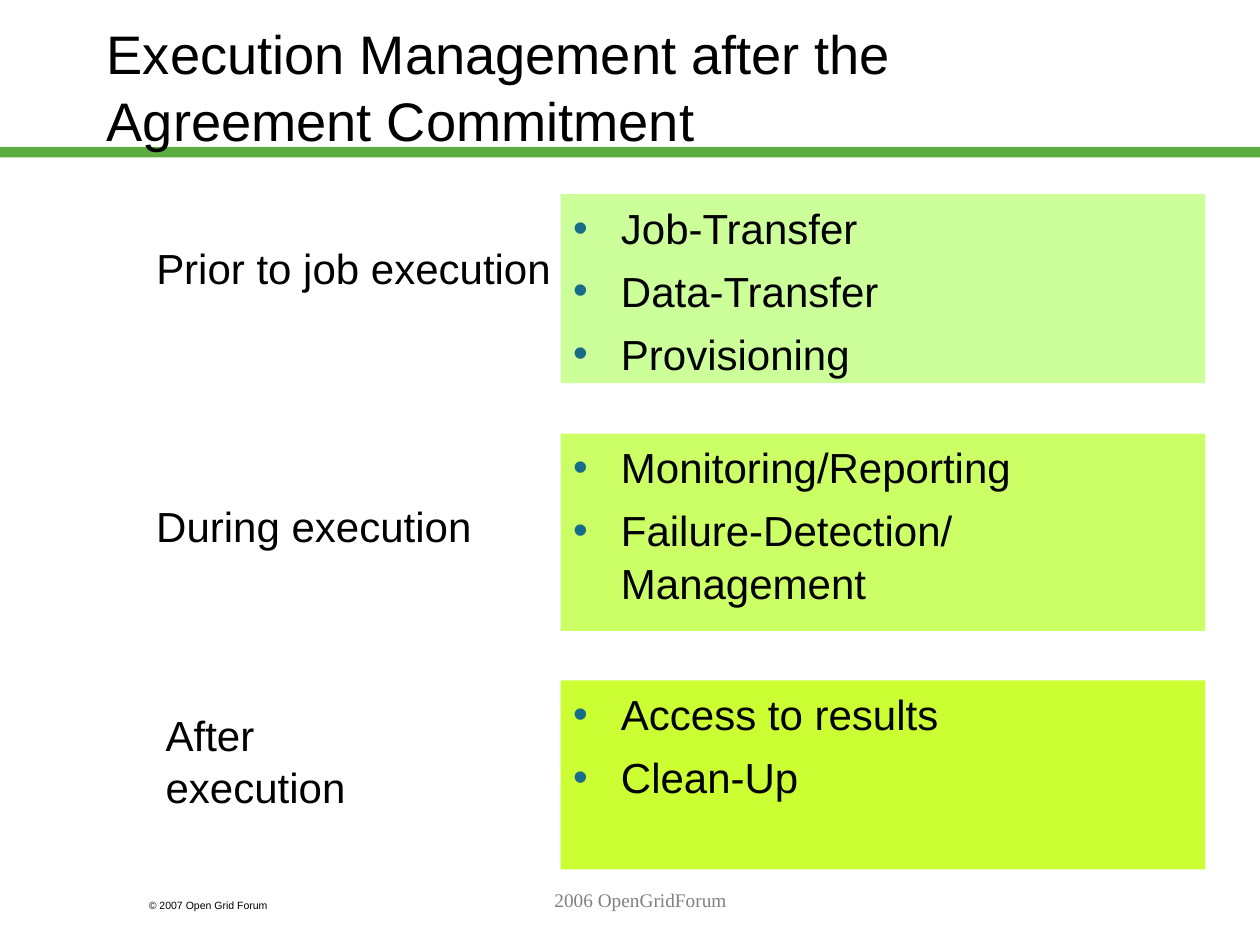
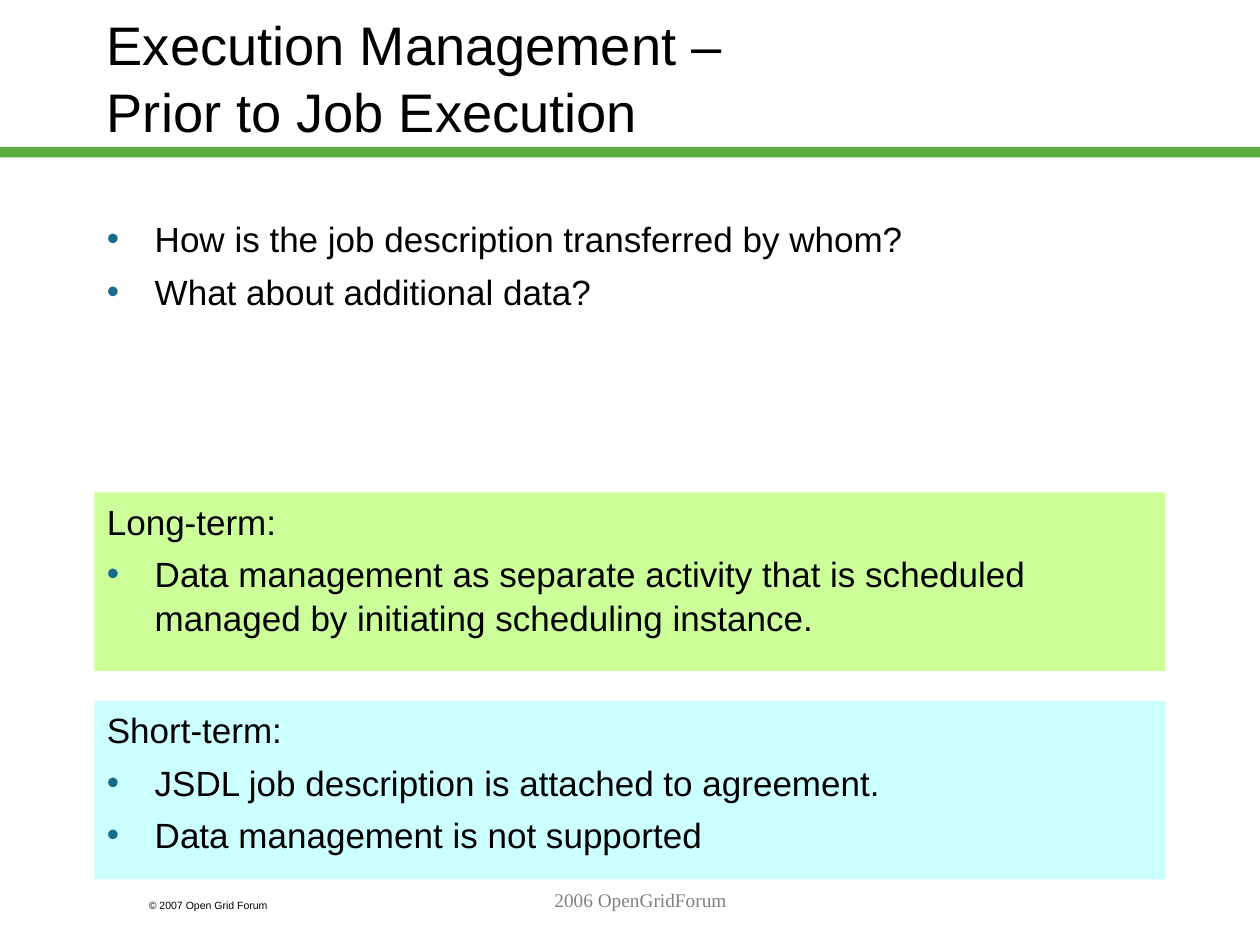
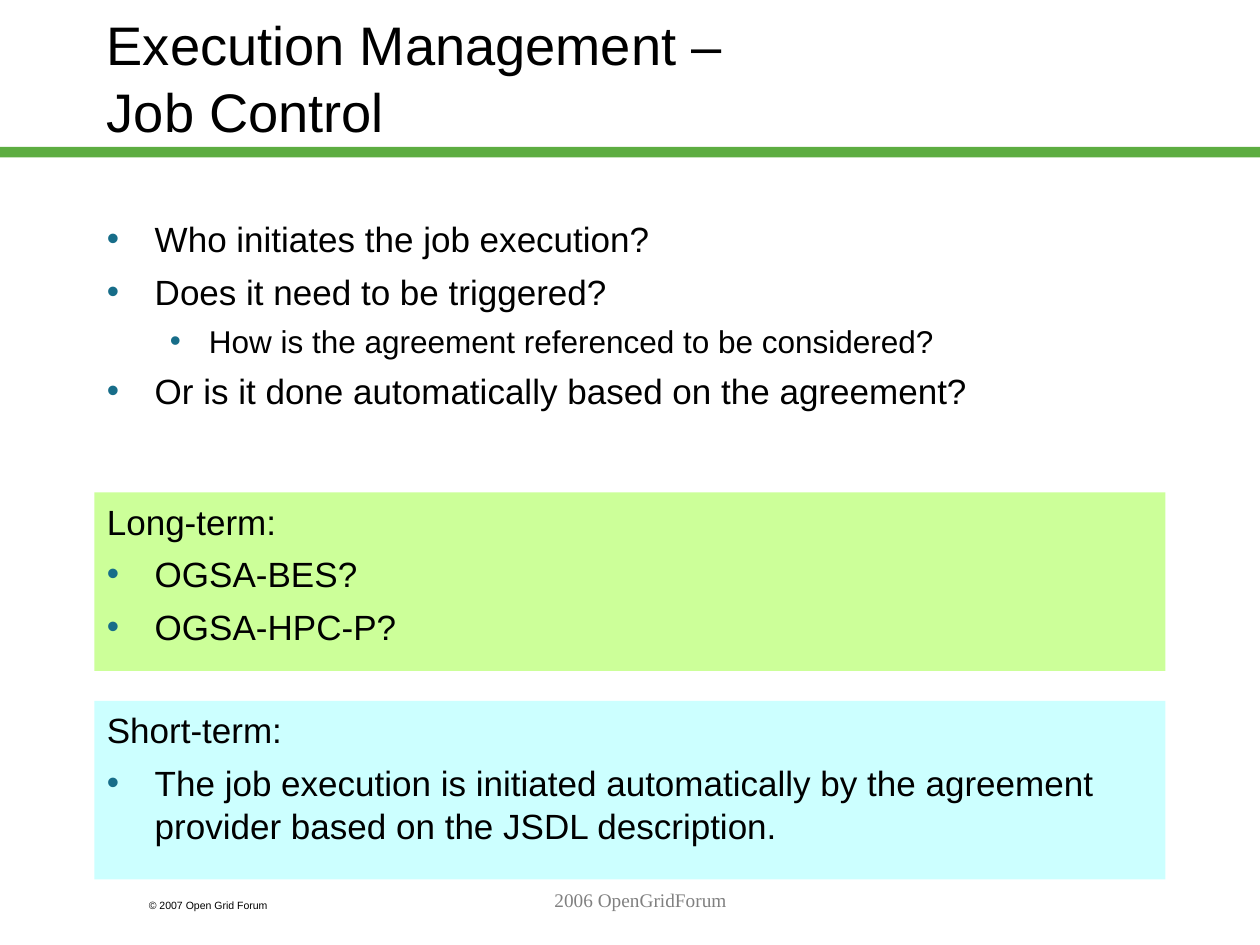
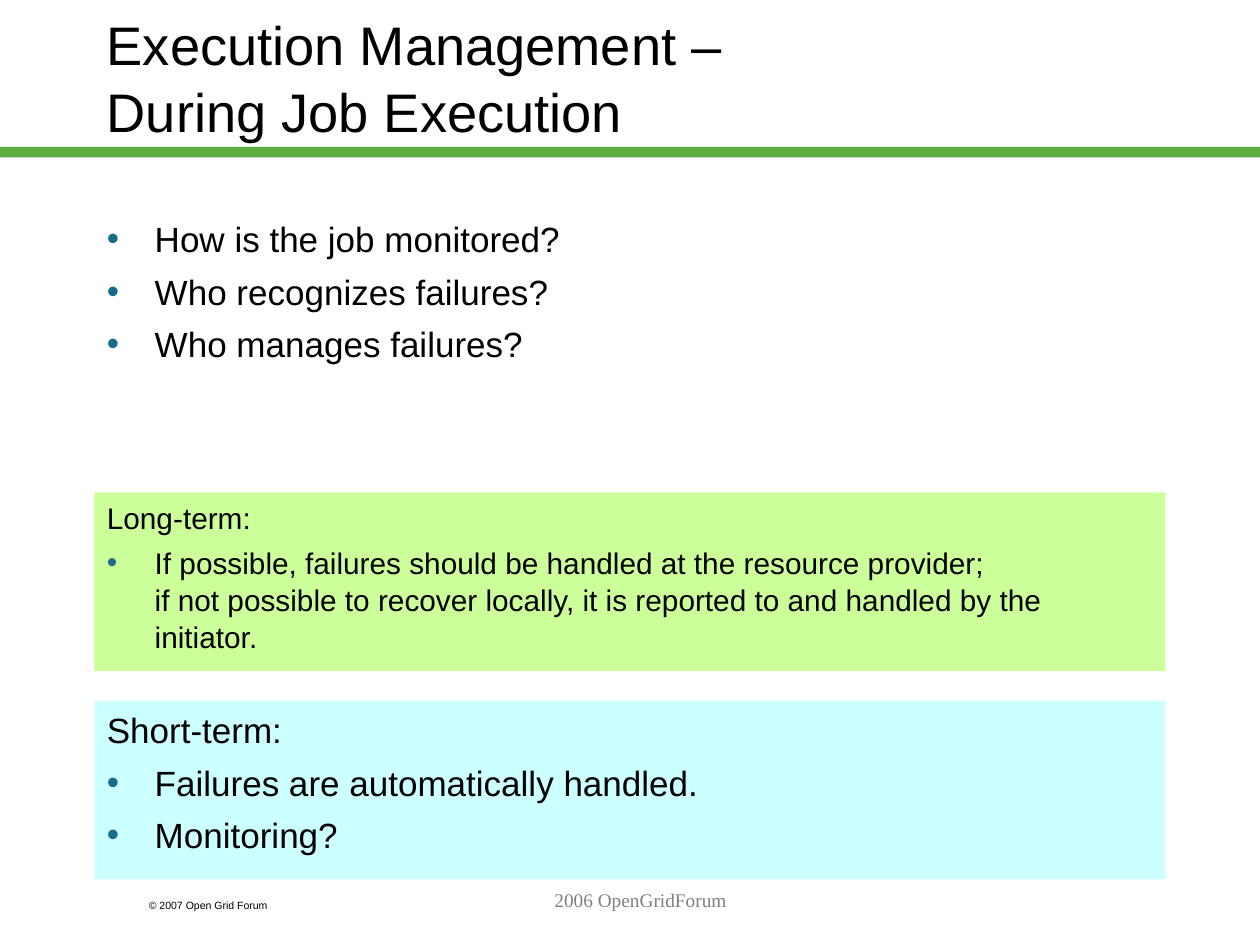
from dataclasses import dataclass
from typing import Optional

import pptx
import pptx.dml.color
import pptx.enum.shapes
import pptx.enum.text
import pptx.oxml
import pptx.oxml.ns
import pptx.util

RGBColor = pptx.dml.color.RGBColor
ALIGN = pptx.enum.text.PP_ALIGN
ANCHOR = pptx.enum.text.MSO_ANCHOR

# Shared look
BLACK = RGBColor(0x00, 0x00, 0x00)
GRAY = RGBColor(0x80, 0x80, 0x80)
BAND_GREEN = RGBColor(0x5D, 0xAD, 0x41)
BULLET_BLUE = RGBColor(0x17, 0x6D, 0x89)
PALE_GREEN = RGBColor(0xCC, 0xFF, 0x99)
LIME = RGBColor(0xCC, 0xFF, 0x66)
BRIGHT_LIME = RGBColor(0xCC, 0xFF, 0x33)
PALE_CYAN = RGBColor(0xCC, 0xFF, 0xFF)
SANS = "Arial"
SERIF = "Times New Roman"
LINE_SPACING = 1.04

# Grid of 120 columns by 90 rows
SLIDE_WIDTH = pptx.util.Inches(10)
SLIDE_HEIGHT = pptx.util.Inches(7.5)
COLUMN = SLIDE_WIDTH / 120
ROW = SLIDE_HEIGHT / 90


@dataclass(frozen=True)
class Area:
    """A place on the grid, in columns and rows."""
    left: float
    top: float
    width: float
    height: float

    def emu(self) -> tuple[int, int, int, int]:
        return (round(self.left * COLUMN), round(self.top * ROW),
                round(self.width * COLUMN), round(self.height * ROW))


@dataclass(frozen=True)
class Style:
    size: float
    font: str = SANS
    color: RGBColor = BLACK
    align: ALIGN = ALIGN.LEFT
    line_spacing: Optional[float] = LINE_SPACING


@dataclass(frozen=True)
class Item:
    """A line of a list: level 0 is a heading, 1 and 2 carry bullets."""
    text: str
    level: int = 1


@dataclass(frozen=True)
class Stage:
    label: str
    label_area: Area
    area: Area
    fill: RGBColor
    steps: tuple[Item, ...]


@dataclass(frozen=True)
class Topic:
    title: str
    questions: tuple[Item, ...]
    long_term: tuple[Item, ...]
    short_term: tuple[Item, ...]
    long_term_size: float = 20


TITLE = Style(31)
COPYRIGHT = Style(6)
FOOTER = Style(11, SERIF, GRAY, ALIGN.CENTER, None)
LABEL = Style(24)
INDENTS = {0: (0.38, -0.38), 1: (0.38, -0.38), 2: (0.81, -0.31)}  # inches
SUBITEM_SCALE = 0.9
SPACE_SHARE = 0.25  # space before a list line, as a share of its size

BAND_AREA = Area(0, 14, 120, 1)
COPYRIGHT_AREA = Area(13, 85, 18, 2.4)
FOOTER_AREA = Area(26, 84, 70, 6)
QUESTIONS_AREA = Area(9, 20, 102, 24.1)
LONG_TERM_AREA = Area(9, 46.9, 102, 17)
SHORT_TERM_AREA = Area(9, 66.75, 102, 17)

# Content
STAGES = (
    Stage("Prior to job execution", Area(13.7, 22.3, 40, 6),
          Area(53.4, 18.5, 61.4, 18), PALE_GREEN,
          (Item("Job-Transfer"), Item("Data-Transfer"), Item("Provisioning"))),
    Stage("During execution", Area(13.7, 46.9, 32.4, 6),
          Area(53.4, 41.3, 61.4, 18.8), LIME,
          (Item("Monitoring/Reporting"), Item("Failure-Detection/Management"))),
    Stage("After execution", Area(14.6, 66.75, 29, 6),
          Area(53.4, 64.8, 61.4, 18), BRIGHT_LIME,
          (Item("Access to results"), Item("Clean-Up"))),
)

TOPICS = (
    Topic(
        "Prior to Job Execution",
        (Item("How is the job description transferred by whom?"),
         Item("What about additional data?")),
        (Item("Data management as separate activity that is scheduled "
              "managed by initiating scheduling instance."),),
        (Item("JSDL job description is attached to agreement."),
         Item("Data management is not supported"))),
    Topic(
        "Job Control",
        (Item("Who initiates the job execution?"),
         Item("Does it need to be triggered?"),
         Item("How is the agreement referenced to be considered?", 2),
         Item("Or is it done automatically based on the agreement?")),
        (Item("OGSA-BES?"), Item("OGSA-HPC-P?")),
        (Item("The job execution is initiated automatically by the agreement "
              "provider based on the JSDL description."),)),
    Topic(
        "During Job Execution",
        (Item("How is the job monitored?"),
         Item("Who recognizes failures?"),
         Item("Who manages failures?")),
        (Item("If possible, failures should be handled at the resource provider;\v"
              "if not possible to recover locally, it is reported to and handled "
              "by the initiator."),),
        (Item("Failures are automatically handled."), Item("Monitoring?")),
        long_term_size=17),
)


# Drawing
def add_box(page, area: Area, fill: Optional[RGBColor] = None):
    """Add a text box, or a plain filled rectangle when a fill is given."""
    if fill is None:
        box = page.shapes.add_textbox(*area.emu())
    else:
        box = page.shapes.add_shape(
            pptx.enum.shapes.MSO_SHAPE.RECTANGLE, *area.emu())
        box.shadow.inherit = False
        box.fill.solid()
        box.fill.fore_color.rgb = fill
        box.line.fill.background()
    box.text_frame.word_wrap = True
    box.text_frame.vertical_anchor = ANCHOR.TOP
    return box


def format_paragraph(para, style: Style, size: float) -> None:
    para.alignment = style.align
    if style.line_spacing:
        para.line_spacing = style.line_spacing
    for span in para.runs:
        span.font.size = pptx.util.Pt(size)
        span.font.name = style.font
        span.font.color.rgb = style.color


def add_text(page, area: Area, text: str, style: Style,
             anchor: ANCHOR = ANCHOR.TOP, wrap: bool = True) -> None:
    frame = add_box(page, area).text_frame
    frame.word_wrap = wrap
    frame.vertical_anchor = anchor
    frame.text = text
    format_paragraph(frame.paragraphs[0], style, style.size)


def set_indent(para, level: int) -> None:
    """Set the hanging indent and, below headings, the bullet."""
    properties = para._p.get_or_add_pPr()
    margin, hanging = INDENTS[level]
    properties.set("marL", str(pptx.util.Inches(margin)))
    properties.set("indent", str(pptx.util.Inches(hanging)))
    if level == 0:
        return
    namespace = pptx.oxml.ns.nsdecls("a")
    for markup in (
            f'<a:buClr {namespace}><a:srgbClr val="{BULLET_BLUE}"/></a:buClr>',
            f'<a:buFont {namespace} typeface="{SANS}"/>',
            f'<a:buChar {namespace} char="•"/>'):
        properties.append(pptx.oxml.parse_xml(markup))


def add_list(page, area: Area, items: tuple[Item, ...], size: float,
             fill: Optional[RGBColor] = None) -> None:
    frame = add_box(page, area, fill).text_frame
    for index, item in enumerate(items):
        para = frame.add_paragraph() if index else frame.paragraphs[0]
        para.text = item.text
        set_indent(para, item.level)
        item_size = size * SUBITEM_SCALE if item.level == 2 else size
        if index:
            para.space_before = pptx.util.Pt(item_size * SPACE_SHARE)
        format_paragraph(para, Style(size), item_size)


def add_page(deck, title: str, title_top: float):
    """Start a slide with the band, copyright line, title and footer."""
    page = deck.slides.add_slide(deck.slide_layouts[6])
    add_box(page, BAND_AREA, BAND_GREEN)
    add_text(page, COPYRIGHT_AREA, "© 2007 Open Grid Forum", COPYRIGHT)
    add_text(page, Area(9, title_top, 102, 15), title, TITLE, ANCHOR.MIDDLE)
    add_text(page, FOOTER_AREA, "2006 OpenGridForum", FOOTER)
    return page


def add_overview(deck) -> None:
    page = add_page(
        deck, "Execution Management after the\vAgreement Commitment", 0.6)
    for stage in STAGES:
        add_list(page, stage.area, stage.steps, LABEL.size, stage.fill)
        add_text(page, stage.label_area, stage.label, LABEL, wrap=False)


def add_topic(deck, topic: Topic) -> None:
    page = add_page(deck, f"Execution Management –\v{topic.title}", -0.25)
    add_list(page, QUESTIONS_AREA, topic.questions, 20)
    add_list(page, LONG_TERM_AREA, (Item("Long-term:", 0), *topic.long_term),
             topic.long_term_size, PALE_GREEN)
    add_list(page, SHORT_TERM_AREA, (Item("Short-term:", 0), *topic.short_term),
             20, PALE_CYAN)


def main() -> None:
    deck = pptx.Presentation()
    deck.slide_width = SLIDE_WIDTH
    deck.slide_height = SLIDE_HEIGHT
    add_overview(deck)
    for topic in TOPICS:
        add_topic(deck, topic)
    deck.save("out.pptx")


if __name__ == "__main__":
    main()
